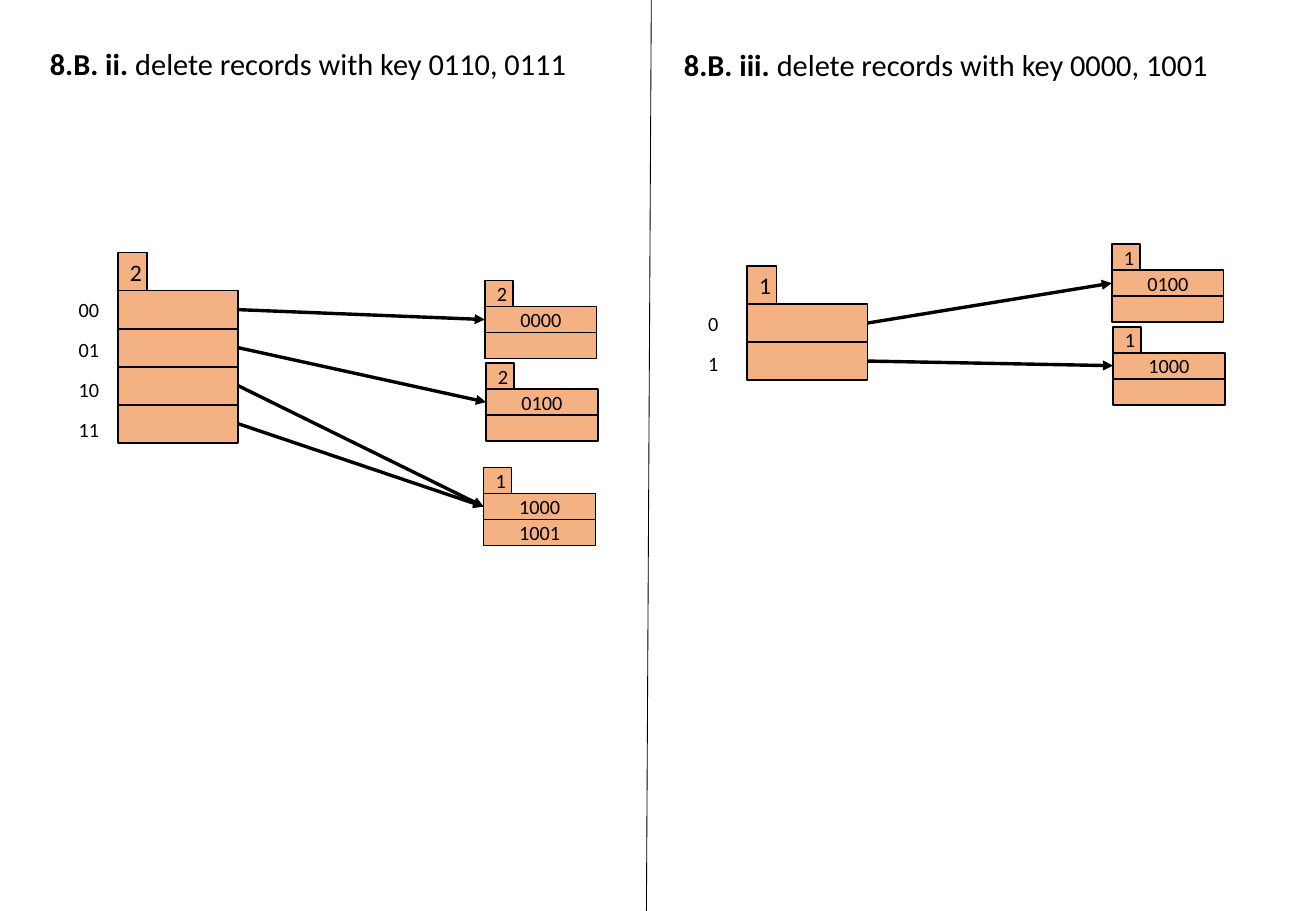
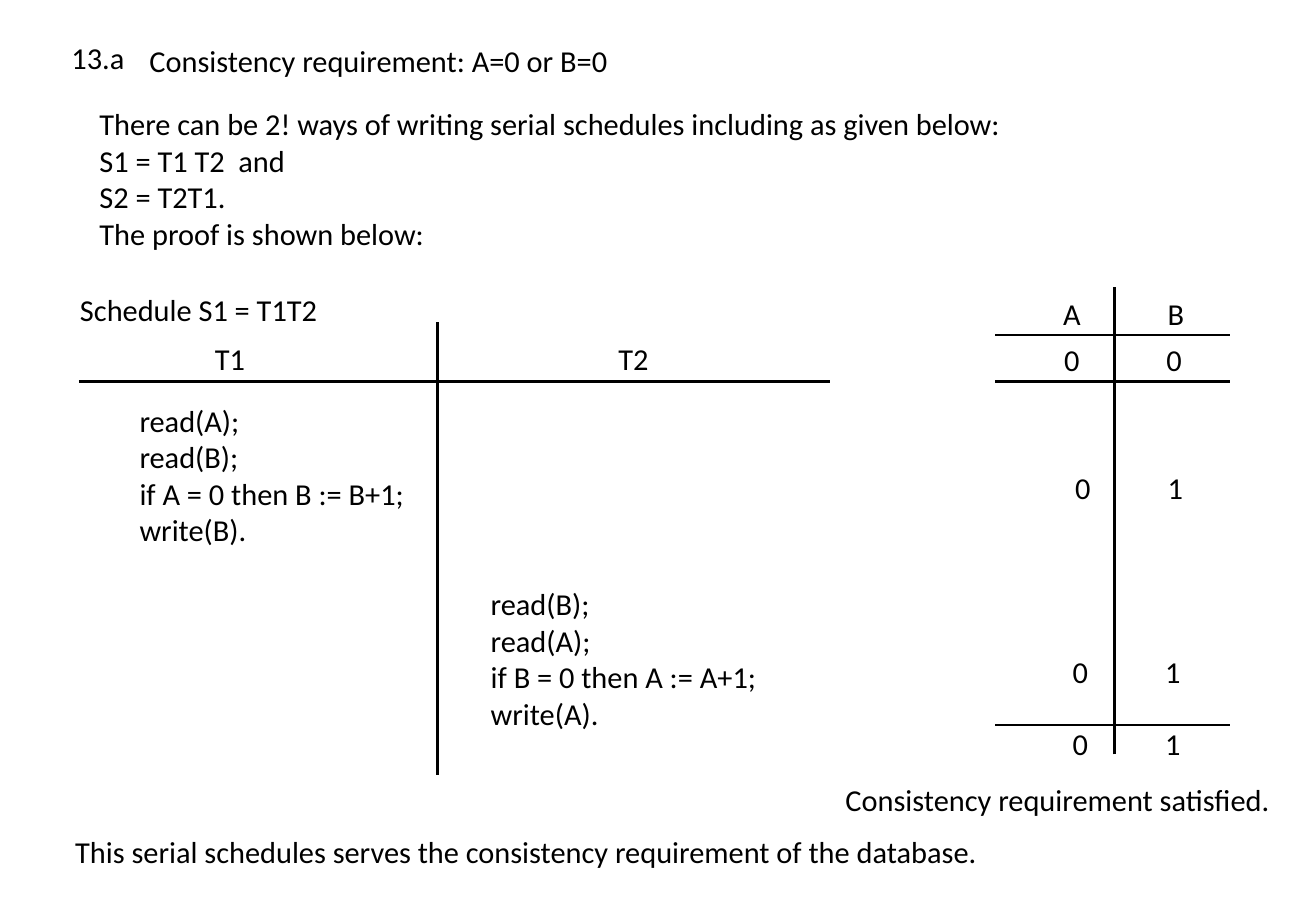
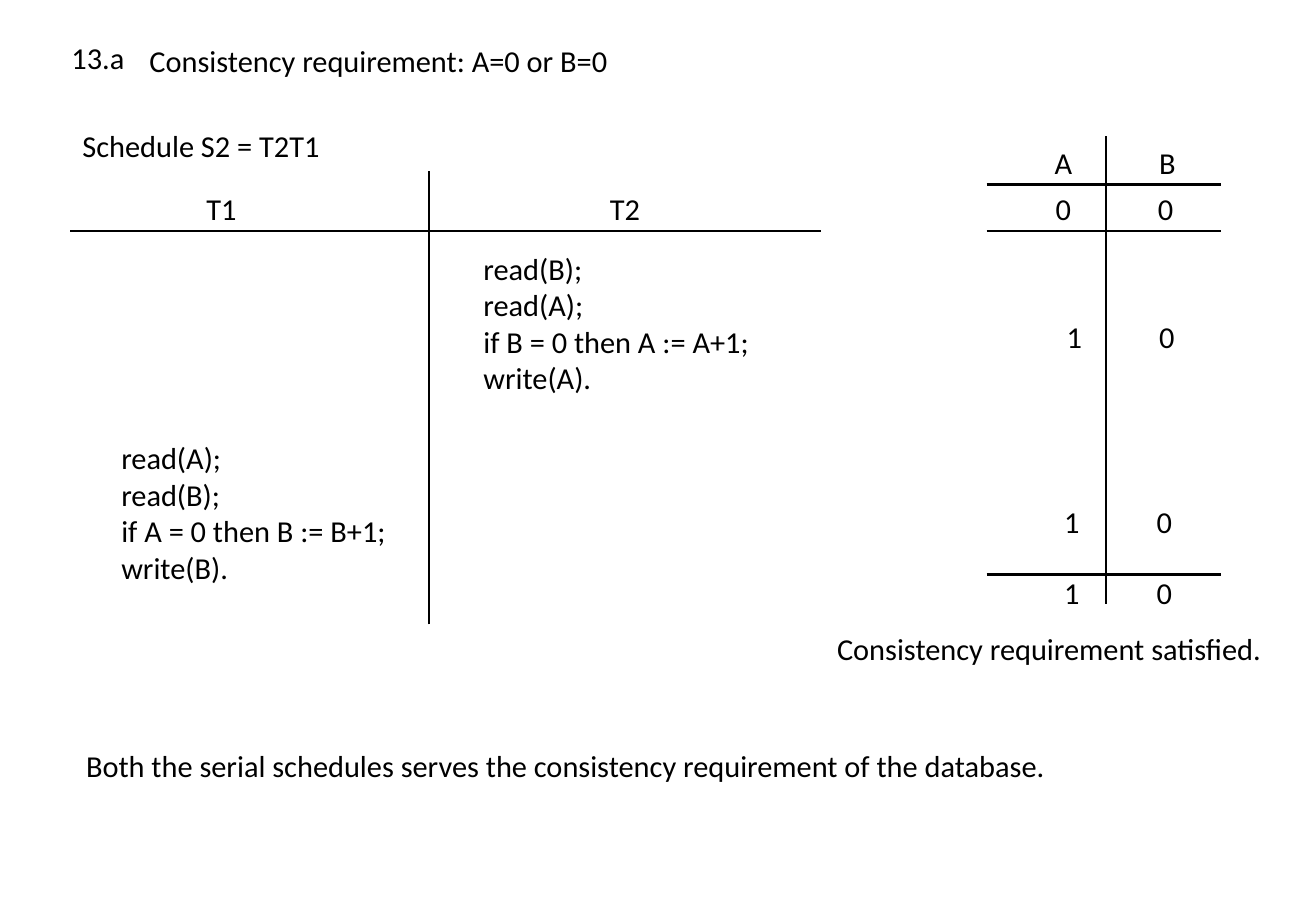
"""Build three slides on extendible hashing and serial schedules."""
from dataclasses import dataclass

import lxml.etree
import pptx
import pptx.dml.color
import pptx.enum.shapes
import pptx.enum.text
import pptx.oxml.ns
import pptx.util

CELL = pptx.util.Inches(0.1)
COLS, ROWS = 108.3, 75
FONT = "Calibri"
COLORS = {"ink": "000000", "box": "F4B183"}
BODY, DEPTH, SMALL = 18, 14, 12
SLOT_W, SLOT_H = 9.9, 3.13
BUCKET_W, BUCKET_H = 9.2, 2.14
LABEL_GAP, LABEL_PITCH = 4.2, 3.3
RULE, ARROW, DIVIDER = 1.5, 2, 0.5
PROGRAMS = {
    "T1": ["read(A);", "read(B);", "if A = 0 then B := B+1;", "write(B)."],
    "T2": ["read(B);", "read(A);", "if B = 0 then A := A+1;", "write(A)."],
}


@dataclass
class Note:
    left: float
    top: float
    width: float
    lines: list[str]
    bold: str = ""


@dataclass
class Bucket:
    left: float
    top: float
    depth: str
    keys: list[str]
    slots: list[int]


@dataclass
class Directory:
    left: float
    top: float
    depth: str
    labels: list[str]
    buckets: list[Bucket]


@dataclass
class Schedule:
    left: float
    rule: float
    programs: dict[str, tuple[float, float]]
    values: list[tuple[str, str]]
    notes: list[Note]


def grid(cells: float) -> pptx.util.Emu:
    """Convert grid cells to a length."""
    return pptx.util.Emu(round(cells * CELL))


def color(name: str) -> pptx.dml.color.RGBColor:
    """Look up a named colour."""
    return pptx.dml.color.RGBColor.from_string(COLORS[name])


def style(p, size: int) -> None:
    """Set the shared font on a paragraph."""
    p.font.name = FONT
    p.font.size = pptx.util.Pt(size)
    p.font.color.rgb = color("ink")


def fill_note(sp, note: Note, size: int = BODY) -> None:
    """Place a text shape and write its lines."""
    sp.left, sp.top = grid(note.left), grid(note.top)
    sp.width, sp.height = grid(note.width), grid(1 + len(note.lines) * size / 6)
    tf = sp.text_frame
    tf.word_wrap = False
    tf.auto_size = pptx.enum.text.MSO_AUTO_SIZE.SHAPE_TO_FIT_TEXT
    tf.vertical_anchor = pptx.enum.text.MSO_ANCHOR.TOP
    for i, line in enumerate(note.lines):
        p = tf.add_paragraph() if i else tf.paragraphs[0]
        p.alignment = pptx.enum.text.PP_ALIGN.LEFT
        style(p, size)
        if note.bold:
            r = p.add_run()
            r.text = note.bold
            r.font.bold = True
        p.add_run().text = line


def add_note(s, note: Note, size: int = BODY) -> None:
    """Add a text box."""
    fill_note(s.shapes.add_textbox(0, 0, 0, 0), note, size)


def add_line(s, x1: float, y1: float, x2: float, y2: float,
             width: float = RULE, arrow: bool = False) -> None:
    """Add a straight line, with an arrowhead if asked."""
    c = s.shapes.add_connector(pptx.enum.shapes.MSO_CONNECTOR.STRAIGHT,
                               grid(x1), grid(y1), grid(x2), grid(y2))
    c.line.color.rgb = color("ink")
    c.line.width = pptx.util.Pt(width)
    qn = pptx.oxml.ns.qn
    if arrow:
        lxml.etree.SubElement(c.line._get_or_add_ln(), qn("a:tailEnd"), type="triangle")
    lxml.etree.SubElement(c._element.spPr, qn("a:effectLst"))


def add_box(s, left: float, top: float, width: float, height: float,
            text: str = "", size: int = SMALL) -> None:
    """Add a filled cell with centred text."""
    sp = s.shapes.add_shape(pptx.enum.shapes.MSO_SHAPE.RECTANGLE,
                            grid(left), grid(top), grid(width), grid(height))
    sp.shadow.inherit = False
    sp.fill.solid()
    sp.fill.fore_color.rgb = color("box")
    sp.line.color.rgb = color("ink")
    sp.line.width = pptx.util.Pt(1)
    if text:
        p = sp.text_frame.paragraphs[0]
        p.text = text
        p.alignment = pptx.enum.text.PP_ALIGN.CENTER
        style(p, size)


def add_directory(s, d: Directory) -> None:
    """Draw a hash directory, its buckets and the arrows between them."""
    add_box(s, d.left, d.top, 2.4, SLOT_H, d.depth, DEPTH)
    for i, label in enumerate(d.labels):
        add_box(s, d.left, d.top + (i + 1) * SLOT_H, SLOT_W, SLOT_H)
        add_note(s, Note(d.left - LABEL_GAP, d.top + 3.2 + i * LABEL_PITCH,
                         2.1 + 0.8 * len(label), [label]), SMALL)
    for b in d.buckets:
        add_box(s, b.left, b.top, 2.3, BUCKET_H, b.depth)
        for i, key in enumerate(b.keys, 1):
            add_box(s, b.left, b.top + i * BUCKET_H, BUCKET_W, BUCKET_H, key)
        for slot in b.slots:
            add_line(s, d.left + SLOT_W, d.top + (slot + 1.5) * SLOT_H,
                     b.left, b.top + 1.5 * BUCKET_H, ARROW, True)


def add_schedule(s, c: Schedule) -> None:
    """Draw a schedule table beside the values of A and B."""
    x, y = c.left, c.rule
    add_line(s, x, y, x + 61.8, y)
    add_line(s, x + 29.5, y + 32.4, x + 29.5, y - 4.9)
    for name, dx in zip(PROGRAMS, (10.2, 43.4)):
        add_note(s, Note(x + dx, y - 3.85, 4.5, [name]))
    for name, (dx, dy) in c.programs.items():
        add_note(s, Note(x + dx, y + dy, 24.7, PROGRAMS[name]))

    add_line(s, x + 85.2, y + 30.7, x + 85.2, y - 7.8)
    for dy in (-3.8, 0, 28.3):
        add_line(s, x + 75.4, y + dy, x + 94.7, y + dy)
    places = [(80, 88.6, -7.6), (80.1, 88.5, -3.8), (81, 88.6, 6.7),
              (80.8, 88.4, 21.9), (80.8, 88.4, 27.8)]
    for (a, b, dy), pair in zip(places, [("A", "B"), ("0", "0"), *c.values]):
        for dx, value in zip((a, b), pair):
            add_note(s, Note(x + dx, y + dy, 3.3, [value]))
    add_note(s, Note(x + 62.1, y + 32.4, 37.3, ["Consistency requirement satisfied."]))
    for note in c.notes:
        add_note(s, note)


def add_slide(prs, title: Note):
    """Add a title-only slide and format its title."""
    s = prs.slides.add_slide(prs.slide_layouts[5])
    fill_note(s.shapes.title, title)
    return s


DIRECTORIES = [
    Directory(9.7, 20.8, "2", ["00", "01", "10", "11"], [
        Bucket(39.9, 23.1, "2", ["0000", ""], [0]),
        Bucket(40, 29.9, "2", ["0100", ""], [1]),
        Bucket(39.8, 38.5, "1", ["1000", "1001"], [2, 3]),
    ]),
    Directory(61.5, 21.9, "1", ["0", "1"], [
        Bucket(91.5, 20.1, "1", ["0100", ""], [0]),
        Bucket(91.6, 26.9, "1", ["1000", ""], [1]),
    ]),
]
SCHEDULES = [
    Schedule(6.5, 31.4, {"T1": (4, 1.2), "T2": (32.9, 16.3)}, [("0", "1")] * 3, [
        Note(5.6, 23.5, 21.8, ["Schedule S1 = T1T2"]),
        Note(7.2, 8.2, 77.7, [
            "There can be 2! ways of writing serial schedules including as given below:",
            "S1 = T1 T2  and", "S2 = T2T1.", "The proof is shown below:"]),
        Note(5.2, 68.1, 77.1, [
            "This serial schedules serves the consistency requirement of the database."]),
    ]),
    Schedule(5.8, 19, {"T1": (3.2, 16.7), "T2": (33, 1.1)}, [("1", "0")] * 3, [
        Note(5.8, 10, 21.8, ["Schedule S2 = T2T1"]),
        Note(6.1, 61, 81.3, [
            "Both the serial schedules serves the consistency requirement of the database."]),
    ]),
]


def main() -> None:
    """Build and save the presentation."""
    prs = pptx.Presentation()
    prs.slide_width, prs.slide_height = grid(COLS), grid(ROWS)

    s = add_slide(prs, Note(3.1, 3.2, 44.8, ["delete records with key 0110, 0111"], "8.B. ii. "))
    add_note(s, Note(55.3, 3.3, 45.4, ["delete records with key 0000, 1001"], "8.B. iii. "))
    add_line(s, 53.6, 0, 53.2, ROWS, DIVIDER)
    for directory in DIRECTORIES:
        add_directory(s, directory)

    for schedule in SCHEDULES:
        s = add_slide(prs, Note(11.3, 3, 40.2, ["Consistency requirement: A=0 or B=0"]))
        add_note(s, Note(4.9, 2.7, 6.4, ["13.a"]))
        add_schedule(s, schedule)

    prs.save("out.pptx")


main()
